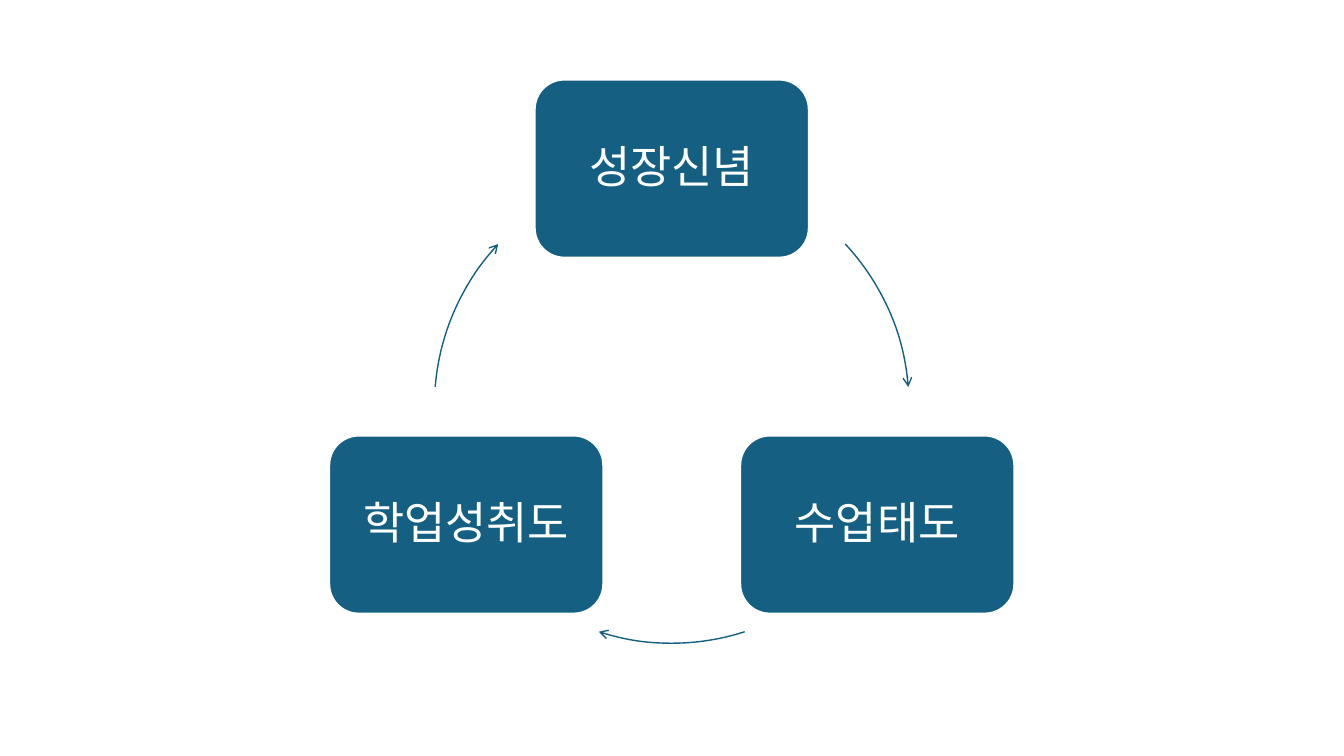
from math import cos, radians, sin

from lxml import etree
from pptx import Presentation
from pptx.dml.color import RGBColor
from pptx.enum.shapes import MSO_SHAPE
from pptx.enum.text import MSO_ANCHOR, PP_ALIGN
from pptx.oxml.ns import qn
from pptx.util import Cm, Pt

ROUND, ARC = MSO_SHAPE.ROUNDED_RECTANGLE, MSO_SHAPE.ARC
MIDDLE, CENTER = MSO_ANCHOR.MIDDLE, PP_ALIGN.CENTER

STEPS = [
    ("성장신념", -90, (317, 355.4)),
    ("수업태도", 30, (72.1, 107.9)),
    ("학업성취도", 150, (184.6, 223)),
]
FONT = "Noto Sans CJK KR"
BLUE, WHITE = "156082", "FFFFFF"
MID_X, MID_Y, RADIUS = 16.93, 10.23, 5.98
WIDE, HIGH = 6.91, 4.49


def color(code):
    return RGBColor.from_string(code)


def place(kind, x, y, w, h, line, weight):
    shape = slide.shapes.add_shape(kind, Cm(x - w / 2), Cm(y - h / 2), Cm(w), Cm(h))
    shape.shadow.inherit = False
    shape.line.color.rgb = color(line)
    shape.line.width = Pt(weight)
    return shape


def write(shape, text, size=32, font=FONT, ink=WHITE, inset=0.55):
    frame = shape.text_frame
    frame.word_wrap = True
    frame.vertical_anchor = MIDDLE
    frame.margin_left = frame.margin_right = Cm(inset)
    frame.margin_top = frame.margin_bottom = Cm(inset)
    para = frame.paragraphs[0]
    para.alignment = CENTER
    para.line_spacing = 0.9
    run = para.add_run()
    run.text = text
    run.font.size = Pt(size)
    run.font.name = font
    run.font.color.rgb = color(ink)
    etree.SubElement(run.font._element, qn("a:ea"), typeface=font)


def add_box(text, angle):
    x = MID_X + RADIUS * cos(radians(angle))
    y = MID_Y + RADIUS * sin(radians(angle))
    box = place(ROUND, x, y, WIDE, HIGH, WHITE, 1.5)
    box.fill.solid()
    box.fill.fore_color.rgb = color(BLUE)
    write(box, text)


def add_arc(start, end):
    arc = place(ARC, MID_X, MID_Y, 2 * RADIUS, 2 * RADIUS, BLUE, 1)
    arc.fill.background()
    arc.adjustments[0] = start * 0.6
    arc.adjustments[1] = end * 0.6
    etree.SubElement(arc.line._get_or_add_ln(), qn("a:tailEnd"), type="arrow")


deck = Presentation()
deck.slide_width, deck.slide_height = Cm(33.87), Cm(19.05)
slide = deck.slides.add_slide(deck.slide_layouts[6])
for text, angle, span in STEPS:
    add_box(text, angle)
    add_arc(*span)
deck.save("out.pptx")
